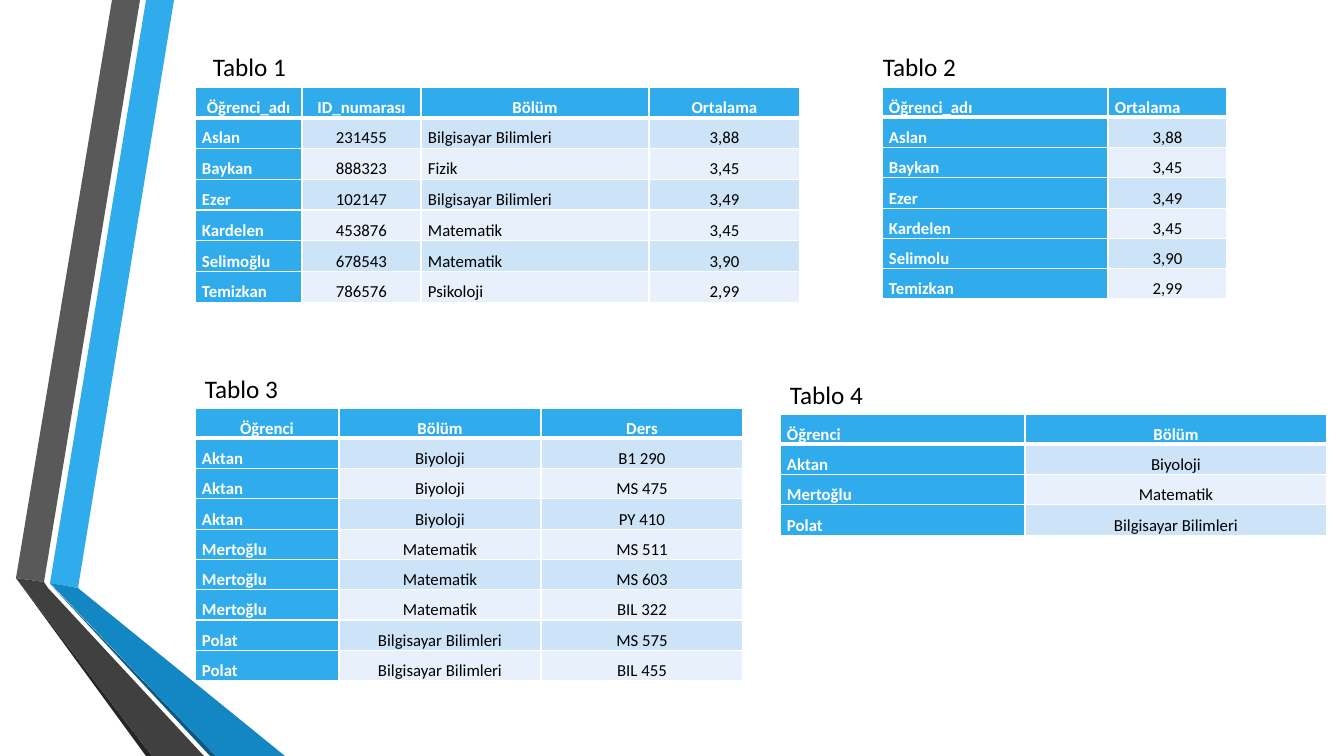
from dataclasses import dataclass

import lxml.etree
import pptx
import pptx.dml.color
import pptx.enum.text
import pptx.oxml.ns
import pptx.util

EMU_PER_PX = 914400 / 100.8
ROW_HEIGHT = 30
CELL_INSET = 7
CAPTION_SIZE = (95, 40)
ALIGN = {"c": pptx.enum.text.PP_ALIGN.CENTER, "j": pptx.enum.text.PP_ALIGN.JUSTIFY}
TOP = pptx.enum.text.MSO_ANCHOR.TOP
MIDDLE = pptx.enum.text.MSO_ANCHOR.MIDDLE


@dataclass(frozen=True)
class Theme:
    font: str = "Calibri"
    cell_pt: int = 12
    caption_pt: int = 18
    rule_pt: int = 1
    header_rule_pt: int = 3
    white: str = "FFFFFF"
    black: str = "000000"
    accent: str = "30ACEC"
    bands: tuple[str, str] = ("CDE3F8", "E8F1FB")
    accent_shade: str = "1287C3"
    accent_edge: str = "0C5A82"
    grey: str = "595959"
    grey_shade: str = "404040"
    grey_edge: str = "262626"


THEME = Theme()


@dataclass(frozen=True)
class Ribbon:
    color: str
    points: tuple[tuple[int, int], ...]


@dataclass(frozen=True)
class Relation:
    """A captioned table; alignments hold one letter (c or j) per column."""
    caption: str
    caption_at: tuple[int, int]
    at: tuple[int, int]
    widths: tuple[int, ...]
    header_align: str
    body_align: str
    space_after: int
    anchor: pptx.enum.text.MSO_ANCHOR
    rows: tuple[tuple[str, ...], ...]


RIBBONS = (
    Ribbon(THEME.accent, ((50, 583), (78, 588), (174, 0), (146, 0))),
    Ribbon(THEME.grey, ((140, 0), (112, 0), (16, 578), (44, 582))),
    Ribbon(THEME.grey_edge, ((16, 578), (146, 756), (152, 756))),
    Ribbon(THEME.accent_edge, ((50, 584), (210, 756), (216, 756))),
    Ribbon(THEME.accent_shade, ((50, 583), (216, 756), (285, 756), (78, 588))),
    Ribbon(THEME.grey_shade, ((204, 756), (48, 588), (44, 582), (16, 578), (152, 756))),
)

RELATIONS = (
    Relation("Tablo 1", (203, 46), (195, 87), (107, 119, 228, 151), "cccc", "jcjc", 6, MIDDLE, (
        ("Öğrenci_adı", "ID_numarası", "Bölüm", "Ortalama"),
        ("Aslan", "231455", "Bilgisayar Bilimleri", "3,88"),
        ("Baykan", "888323", "Fizik", "3,45"),
        ("Ezer", "102147", "Bilgisayar Bilimleri", "3,49"),
        ("Kardelen", "453876", "Matematik", "3,45"),
        ("Selimoğlu", "678543", "Matematik", "3,90"),
        ("Temizkan", "786576", "Psikoloji", "2,99"),
    )),
    Relation("Tablo 2", (873, 46), (882, 87), (226, 119), "jj", "jc", 4, TOP, (
        ("Öğrenci_adı", "Ortalama"),
        ("Aslan", "3,88"),
        ("Baykan", "3,45"),
        ("Ezer", "3,49"),
        ("Kardelen", "3,45"),
        ("Selimolu", "3,90"),
        ("Temizkan", "2,99"),
    )),
    Relation("Tablo 3", (195, 368), (195, 408), (144, 202, 202), "ccc", "jcc", 4, TOP, (
        ("Öğrenci", "Bölüm", "Ders"),
        ("Aktan", "Biyoloji", "B1 290"),
        ("Aktan", "Biyoloji", "MS 475"),
        ("Aktan", "Biyoloji", "PY 410"),
        ("Mertoğlu", "Matematik", "MS 511"),
        ("Mertoğlu", "Matematik", "MS 603"),
        ("Mertoğlu", "Matematik", "BIL 322"),
        ("Polat", "Bilgisayar Bilimleri", "MS 575"),
        ("Polat", "Bilgisayar Bilimleri", "BIL 455"),
    )),
    Relation("Tablo 4", (780, 374), (780, 414), (245, 302), "jc", "jc", 6, TOP, (
        ("Öğrenci", "Bölüm"),
        ("Aktan", "Biyoloji"),
        ("Mertoğlu", "Matematik"),
        ("Polat", "Bilgisayar Bilimleri"),
    )),
)


def px(length: int) -> pptx.util.Emu:
    return pptx.util.Emu(round(length * EMU_PER_PX))


def rgb(color: str) -> pptx.dml.color.RGBColor:
    return pptx.dml.color.RGBColor.from_string(color)


def set_font(paragraph, size: int, color: str, bold: bool = False) -> None:
    font = paragraph.font
    font.name = THEME.font
    font.size = pptx.util.Pt(size)
    font.bold = bold
    font.color.rgb = rgb(color)


def draw_ribbon(slide, ribbon: Ribbon) -> None:
    start, *rest = ribbon.points
    builder = slide.shapes.build_freeform(*start, scale=EMU_PER_PX)
    builder.add_line_segments(rest, close=True)
    band = builder.convert_to_shape()
    band.shadow.inherit = False
    band.fill.solid()
    band.fill.fore_color.rgb = rgb(ribbon.color)
    band.line.fill.background()


def rule_cell(cell, row: int) -> None:
    """Draw white cell borders, with a heavier rule below the header row."""
    properties = cell._tc.get_or_add_tcPr()
    heavy_side = {0: "lnB", 1: "lnT"}.get(row)
    for side in ("lnL", "lnR", "lnT", "lnB"):
        weight = THEME.header_rule_pt if side == heavy_side else THEME.rule_pt
        line = lxml.etree.SubElement(
            properties, pptx.oxml.ns.qn(f"a:{side}"), w=str(pptx.util.Pt(weight)))
        fill = lxml.etree.SubElement(line, pptx.oxml.ns.qn("a:solidFill"))
        lxml.etree.SubElement(fill, pptx.oxml.ns.qn("a:srgbClr"), val=THEME.white)


def fill_cell(cell, relation: Relation, row: int, column: int) -> None:
    is_heading = row == 0 or column == 0
    rule_cell(cell, row)
    cell.fill.solid()
    cell.fill.fore_color.rgb = rgb(
        THEME.accent if is_heading else THEME.bands[(row - 1) % 2])
    cell.margin_left = cell.margin_right = px(CELL_INSET)
    cell.margin_top = cell.margin_bottom = 0
    cell.vertical_anchor = relation.anchor
    cell.text = relation.rows[row][column]
    paragraph = cell.text_frame.paragraphs[0]
    aligns = relation.header_align if row == 0 else relation.body_align
    paragraph.alignment = ALIGN[aligns[column]]
    paragraph.line_spacing = 1.5
    paragraph.space_after = pptx.util.Pt(relation.space_after)
    set_font(paragraph, THEME.cell_pt, THEME.white if is_heading else THEME.black, is_heading)


def draw_relation(slide, relation: Relation) -> None:
    row_count, column_count = len(relation.rows), len(relation.widths)
    table = slide.shapes.add_table(
        row_count, column_count, *map(px, relation.at),
        px(sum(relation.widths)), px(ROW_HEIGHT * row_count)).table
    for column, width in zip(table.columns, relation.widths):
        column.width = px(width)
    for row in range(row_count):
        table.rows[row].height = px(ROW_HEIGHT)
        for column in range(column_count):
            fill_cell(table.cell(row, column), relation, row, column)


def draw_caption(slide, relation: Relation) -> None:
    caption = slide.shapes.add_textbox(
        *map(px, relation.caption_at), *map(px, CAPTION_SIZE)).text_frame
    caption.word_wrap = False
    caption.auto_size = pptx.enum.text.MSO_AUTO_SIZE.SHAPE_TO_FIT_TEXT
    caption.text = relation.caption
    set_font(caption.paragraphs[0], THEME.caption_pt, THEME.black)


def main() -> None:
    presentation = pptx.Presentation()
    presentation.slide_width, presentation.slide_height = px(1344), px(756)
    slide = presentation.slides.add_slide(presentation.slide_layouts[6])
    for ribbon in RIBBONS:
        draw_ribbon(slide, ribbon)
    for relation in RELATIONS:
        draw_relation(slide, relation)
        draw_caption(slide, relation)
    presentation.save("out.pptx")


if __name__ == "__main__":
    main()
